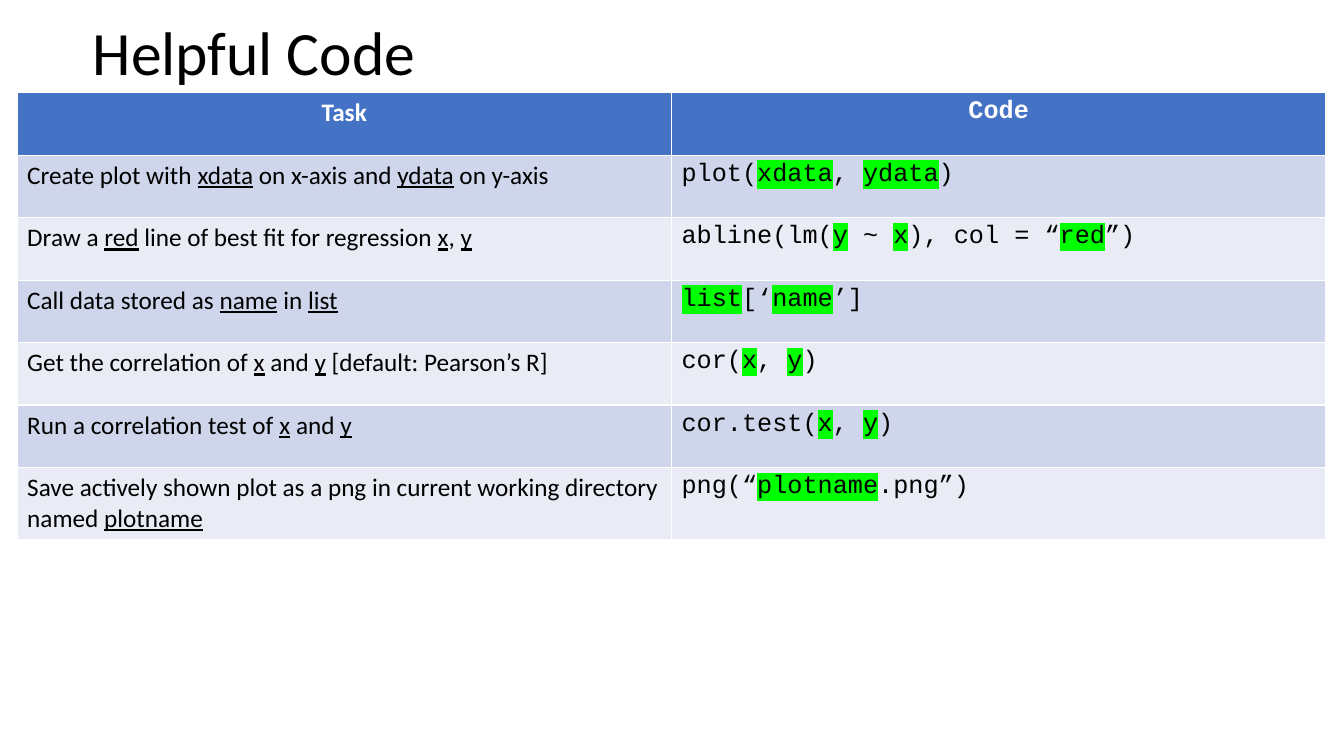
"""Build the Helpful Code slide: a title above a table of tasks and R code."""
from lxml import etree
from pptx import Presentation
from pptx.dml.color import RGBColor
from pptx.enum import text
from pptx.oxml import ns
from pptx.util import Inches, Pt

BLACK = RGBColor(0x00, 0x00, 0x00)
WHITE = RGBColor(0xFF, 0xFF, 0xFF)
BLUE = RGBColor(0x44, 0x72, 0xC4)
BANDS = RGBColor(0xCF, 0xD5, 0xEA), RGBColor(0xE9, 0xEB, 0xF5)
GREEN = RGBColor(0x00, 0xFF, 0x00)
BODY_FONT, CODE_FONT = "Calibri", "Courier New"

# Asterisks enclose the words to underline (task) or highlight (code).
HEADER = ("Task", "Code")
ROWS = [
    ("Create plot with *xdata* on x-axis and *ydata* on y-axis",
     "plot(*xdata*, *ydata*)"),
    ("Draw a *red* line of best fit for regression *x*, *y*",
     "abline(lm(*y* ~ *x*), col = “*red*”)"),
    ("Call data stored as *name* in *list*",
     "*list*[‘*name*’]"),
    ("Get the correlation of *x* and *y* [default: Pearson’s R]",
     "cor(*x*, *y*)"),
    ("Run a correlation test of *x* and *y*",
     "cor.test(*x*, *y*)"),
    ("Save actively shown plot as a png in current working directory named *plotname*",
     "png(“*plotname*.png”)"),
]


def highlight(r, color):
    """Put a highlight colour behind a run."""
    hl = etree.Element(ns.qn("a:highlight"))
    etree.SubElement(hl, ns.qn("a:srgbClr"), val=str(color))
    r.font._element.find(ns.qn("a:latin")).addprevious(hl)


def add_run(p, content, font=BODY_FONT, size=18, color=BLACK, bold=False,
            underline=None, marker=None):
    """Add one formatted run to a paragraph."""
    r = p.add_run()
    r.text = content
    r.font.name, r.font.size = font, Pt(size)
    r.font.bold, r.font.underline = bold, underline
    r.font.color.rgb = color
    if marker is not None:
        highlight(r, marker)


def add_title(s, content):
    """Place and fill the title placeholder."""
    sp = s.shapes.title
    sp.left, sp.top = Inches(0.82), Inches(0)
    sp.width, sp.height = Inches(11.5), Inches(1.1)
    tf = sp.text_frame
    tf.auto_size = text.MSO_AUTO_SIZE.NONE
    tf.vertical_anchor = text.MSO_ANCHOR.MIDDLE
    p = tf.paragraphs[0]
    p.alignment, p.line_spacing = text.PP_ALIGN.LEFT, 0.9
    add_run(p, content, size=44)


def fill_cell(cell, content, fill, align, mark, **fmt):
    """Fill a cell, giving the words between asterisks the mark format."""
    cell.fill.solid()
    cell.fill.fore_color.rgb = fill
    p = cell.text_frame.paragraphs[0]
    p.alignment = align
    for i, part in enumerate(content.split("*")):
        if part:
            add_run(p, part, **fmt, **(mark if i % 2 else {}))


def add_code_table(s):
    """Add the table with a header and banded rows."""
    tbl = s.shapes.add_table(len(ROWS) + 1, 2, Inches(0.17), Inches(0.92),
                             Inches(12.98), Inches(0.62 * 7)).table
    columns = ((BODY_FONT, {"underline": True}), (CODE_FONT, {"marker": GREEN}))
    for i, row in enumerate([HEADER] + ROWS):
        head = i == 0
        for j, (font, mark) in enumerate(columns):
            fill_cell(tbl.cell(i, j), row[j],
                      BLUE if head else BANDS[(i - 1) % 2],
                      text.PP_ALIGN.CENTER if head else text.PP_ALIGN.LEFT,
                      mark, font=font, bold=head,
                      color=WHITE if head else BLACK)


def main():
    """Build and save the slide."""
    prs = Presentation()
    prs.slide_width, prs.slide_height = Inches(13.33), Inches(7.5)
    s = prs.slides.add_slide(prs.slide_layouts[5])
    add_title(s, "Helpful Code")
    add_code_table(s)
    prs.save("out.pptx")


if __name__ == "__main__":
    main()
